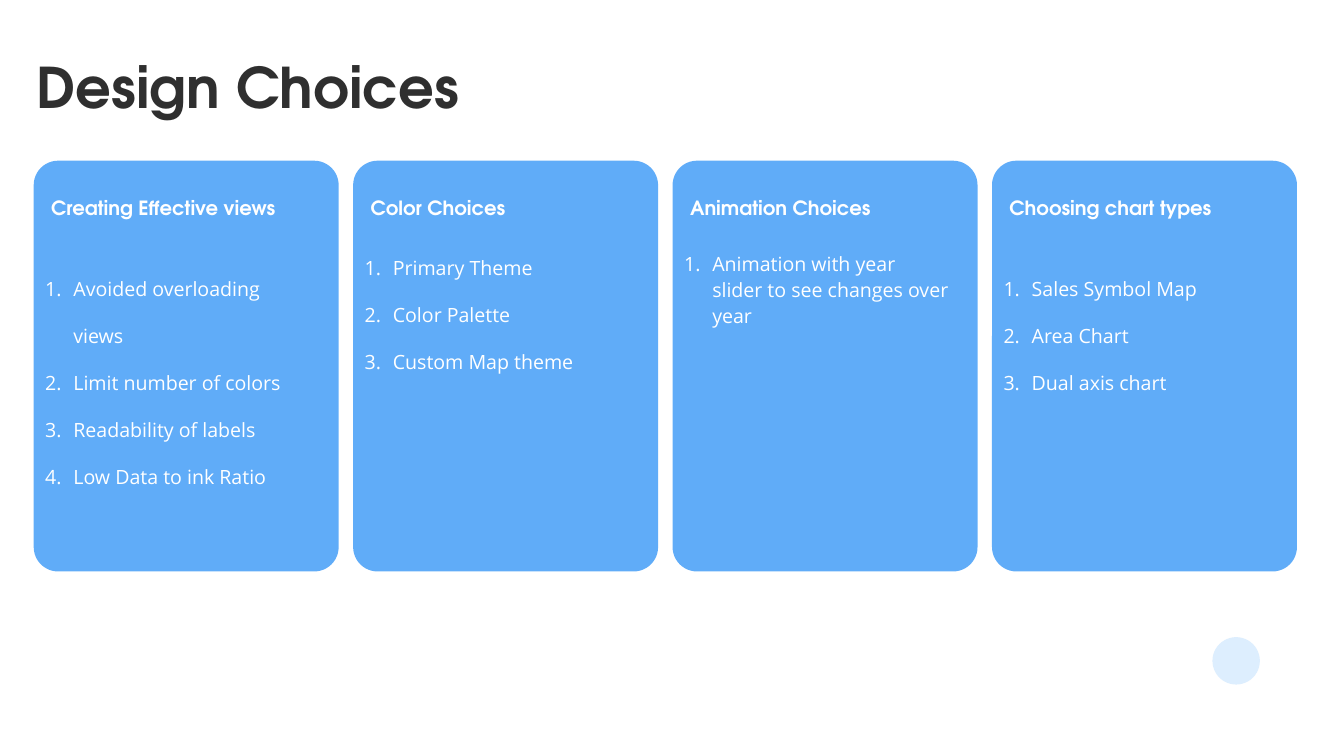
from dataclasses import dataclass

from lxml.etree import SubElement
from pptx import Presentation
from pptx.dml.color import RGBColor
from pptx.enum.shapes import MSO_SHAPE
from pptx.enum.text import MSO_AUTO_SIZE
from pptx.oxml.ns import qn
from pptx.util import Cm, Pt


@dataclass(frozen=True)
class Theme:
    ink: RGBColor = RGBColor(0x2F, 0x2F, 0x2F)
    white: RGBColor = RGBColor(0xFF, 0xFF, 0xFF)
    card: RGBColor = RGBColor(0x47, 0x9F, 0xF8)
    dot: RGBColor = RGBColor(0xDD, 0xEE, 0xFE)
    card_alpha: int = 86
    heading_font: str = "TeX Gyre Adventor"
    body_font: str = "Open Sans"
    title_size: Pt = Pt(80)
    text_size: Pt = Pt(28)


theme = Theme()

prs = Presentation()
prs.slide_width, prs.slide_height = Cm(67.74), Cm(38.1)
s = prs.slides.add_slide(prs.slide_layouts[6])


def add_shape(kind, left, top, width, height, color):
    """Add a flat preset shape without outline; lengths in centimetres."""
    sp = s.shapes.add_shape(kind, Cm(left), Cm(top), Cm(width), Cm(height))
    sp.shadow.inherit = False
    sp.fill.solid()
    sp.fill.fore_color.rgb = color
    sp.line.fill.background()
    return sp


def add_text(left, top, width, height, lines, font, size, color, bold=False):
    """Add a wrapped text box, one paragraph per line, and return its paragraphs."""
    tf = s.shapes.add_textbox(Cm(left), Cm(top), Cm(width), Cm(height)).text_frame
    tf.word_wrap = True
    tf.auto_size = MSO_AUTO_SIZE.SHAPE_TO_FIT_TEXT
    tf.margin_left = tf.margin_right = tf.margin_top = tf.margin_bottom = Cm(0.15)
    tf.text = "\n".join(lines)
    for p in tf.paragraphs:
        p.font.name, p.font.size, p.font.bold = font, size, bold
        p.font.color.rgb = color
    return tf.paragraphs


add_shape(MSO_SHAPE.OVAL, 61.11, 32.11, 2.39, 2.39, theme.dot)
add_text(1.7, 2.51, 58.37, 3.71, ["Design Choices"],
         theme.heading_font, theme.title_size, theme.ink, bold=True)

# heading, list top, list height, spacing of the first item, items
cards = [
    ("Creating Effective views", 12.62, 11.91, 2.0,
     ["Avoided overloading views", "Limit number of colors",
      "Readability of labels", "Low Data to ink Ratio"]),
    ("Color Choices", 12.62, 6.05, 1.1,
     ["Primary Theme", "Color Palette", "Custom Map theme"]),
    ("Animation Choices", 12.42, 4.17, 1.1,
     ["Animation with year slider to see changes over year"]),
    ("Choosing chart types", 12.62, 7.14, 2.0,
     ["Sales Symbol Map", "Area Chart", "Dual axis chart"]),
]
card_left, card_pitch = 1.7, 16.1

for i, (heading, list_top, list_height, first_spacing, items) in enumerate(cards):
    left = card_left + i * card_pitch
    card = add_shape(MSO_SHAPE.ROUNDED_RECTANGLE, left, 8.1, 15.37, 20.7, theme.card)
    card.adjustments[0] = 0.08
    color = card.fill._xPr.find(qn("a:solidFill"))[0]
    SubElement(color, qn("a:alpha"), val=str(theme.card_alpha * 1000))

    add_text(left + 0.73, 9.73, 13.1, 1.47, [heading],
             theme.heading_font, theme.text_size, theme.white, bold=True)
    paragraphs = add_text(left + 0.43, list_top, 13.72, list_height, items,
                          theme.body_font, theme.text_size, theme.white)
    for n, p in enumerate(paragraphs):
        p.line_spacing = 2.0 if n else first_spacing
        pPr = p._p.get_or_add_pPr()
        pPr.set("marL", str(Cm(1.42)))
        pPr.set("indent", str(-Cm(1.42)))
        number = pPr.makeelement(qn("a:buAutoNum"), {"type": "arabicPeriod"})
        pPr.find(qn("a:defRPr")).addprevious(number)

prs.save("out.pptx")
